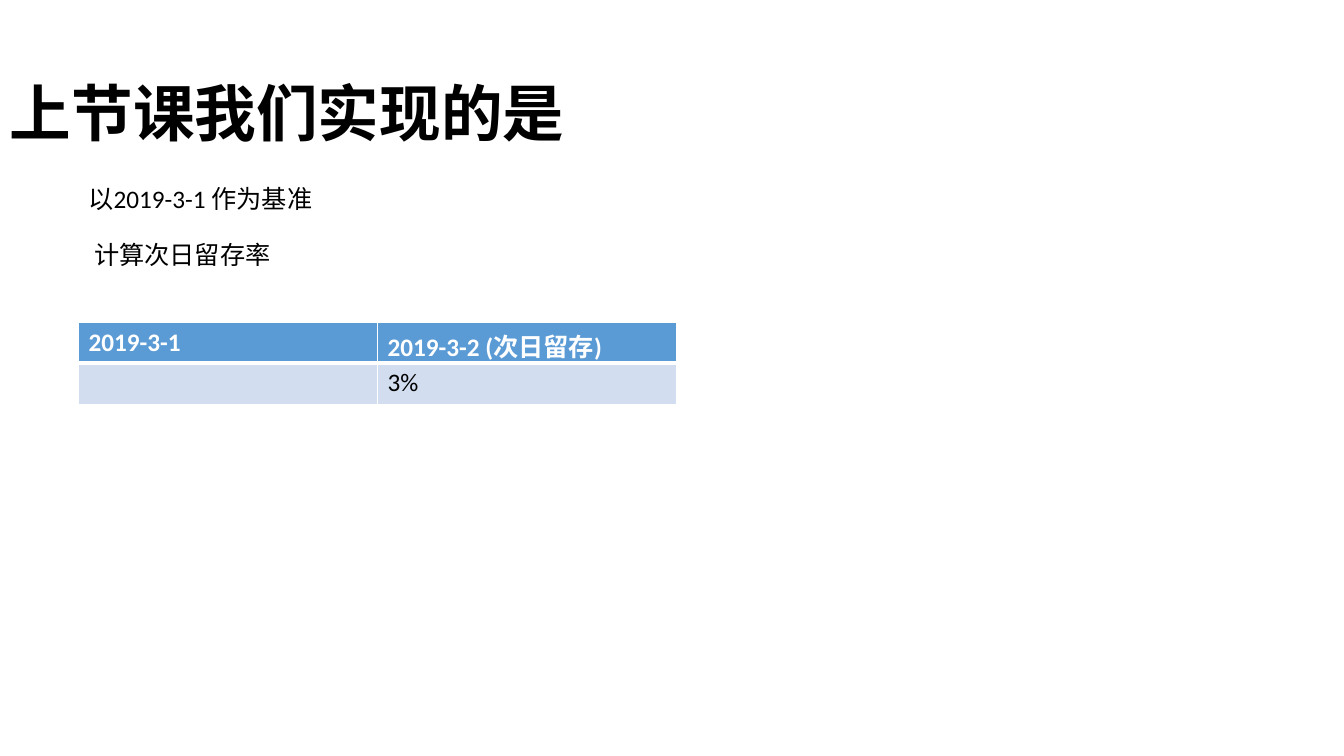
from lxml import etree
from pptx import Presentation
from pptx import util as u
from pptx.dml.color import RGBColor
from pptx.enum import text
from pptx.oxml.ns import qn

FONT = "Calibri"
BLACK, WHITE = "000000", "FFFFFF"
HEADER_FILL, BODY_FILL = "5B9BD5", "D2DEEF"


def color(value):
    """Turn a hex string into a colour."""
    return RGBColor.from_string(value)


def style(para, size, ink=BLACK, bold=False):
    """Set the font of a whole paragraph."""
    font = para.font
    font.name, font.size, font.bold = FONT, u.Pt(size), bold
    font.color.rgb = color(ink)


def add_text(page, place, lines, size, bold=False, gap=0):
    """Add a wrapping text box with one paragraph per line."""
    box = page.shapes.add_textbox(*map(u.Inches, place))
    frame = box.text_frame
    frame.word_wrap = True
    frame.text = "\n".join(lines)
    for para in frame.paragraphs:
        style(para, size, bold=bold)
    for para in frame.paragraphs[1:]:
        para.space_before = u.Pt(gap)
    return frame


def add_border(cell, side, width):
    """Draw a white line on one side (L, R, T or B) of a cell."""
    line = etree.SubElement(cell._tc.get_or_add_tcPr(), qn(f"a:ln{side}"), w=str(u.Pt(width)))
    fill = etree.SubElement(line, qn("a:solidFill"))
    etree.SubElement(fill, qn("a:srgbClr"), val=WHITE)


def add_retention_table(page, place, rows, heights):
    """Add a table whose first row is a header."""
    frame = page.shapes.add_table(len(rows), len(rows[0]), *map(u.Inches, place))
    table = frame.table
    for r, (values, height) in enumerate(zip(rows, heights)):
        header = r == 0
        table.rows[r].height = u.Inches(height)
        for c, value in enumerate(values):
            cell = table.cell(r, c)
            cell.text = value
            style(cell.text_frame.paragraphs[0], 18, WHITE if header else BLACK, header)
            for side in "LRTB":
                thick = (header and side == "B") or (not header and side == "T")
                add_border(cell, side, 3 if thick else 1)
            cell.fill.solid()
            cell.fill.fore_color.rgb = color(HEADER_FILL if header else BODY_FILL)


def main():
    """Build the slide and save it."""
    deck = Presentation()
    deck.slide_width, deck.slide_height = u.Inches(13.33), u.Inches(7.5)
    page = deck.slides.add_slide(deck.slide_layouts[6])

    title = add_text(page, (0, 0.4, 13.57, 1.52), ["上节课我们实现的是"], 44, bold=True)
    title.vertical_anchor = text.MSO_ANCHOR.MIDDLE
    title.paragraphs[0].line_spacing = 0.9

    add_retention_table(page, (0.78, 3.2, 5.93, 0.81),
                        [["2019-3-1", "2019-3-2 (次日留存)"], ["", "3%"]], [0.22, 0.41])
    add_text(page, (0.78, 1.77, 6.43, 1.01),
             ["以2019-3-1 作为基准", " 计算次日留存率"], 18, gap=18)
    deck.save("out.pptx")


main()
